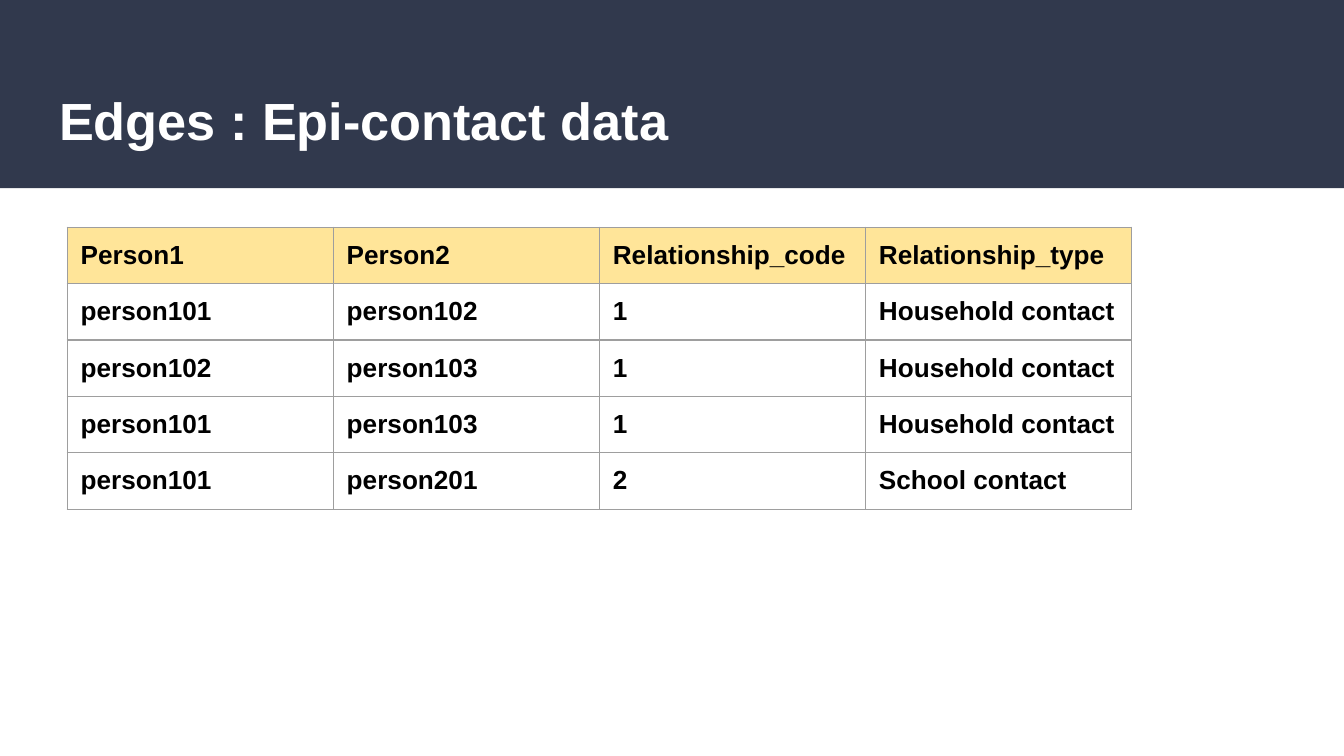
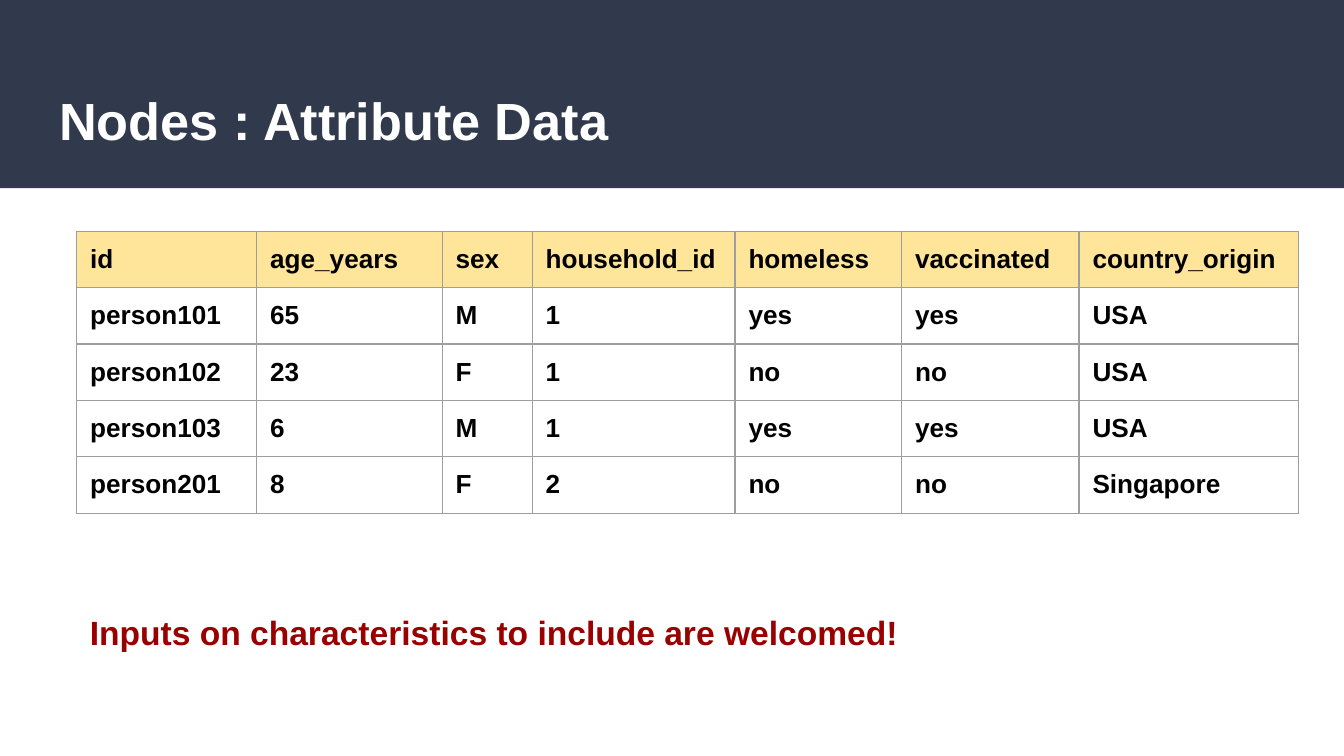
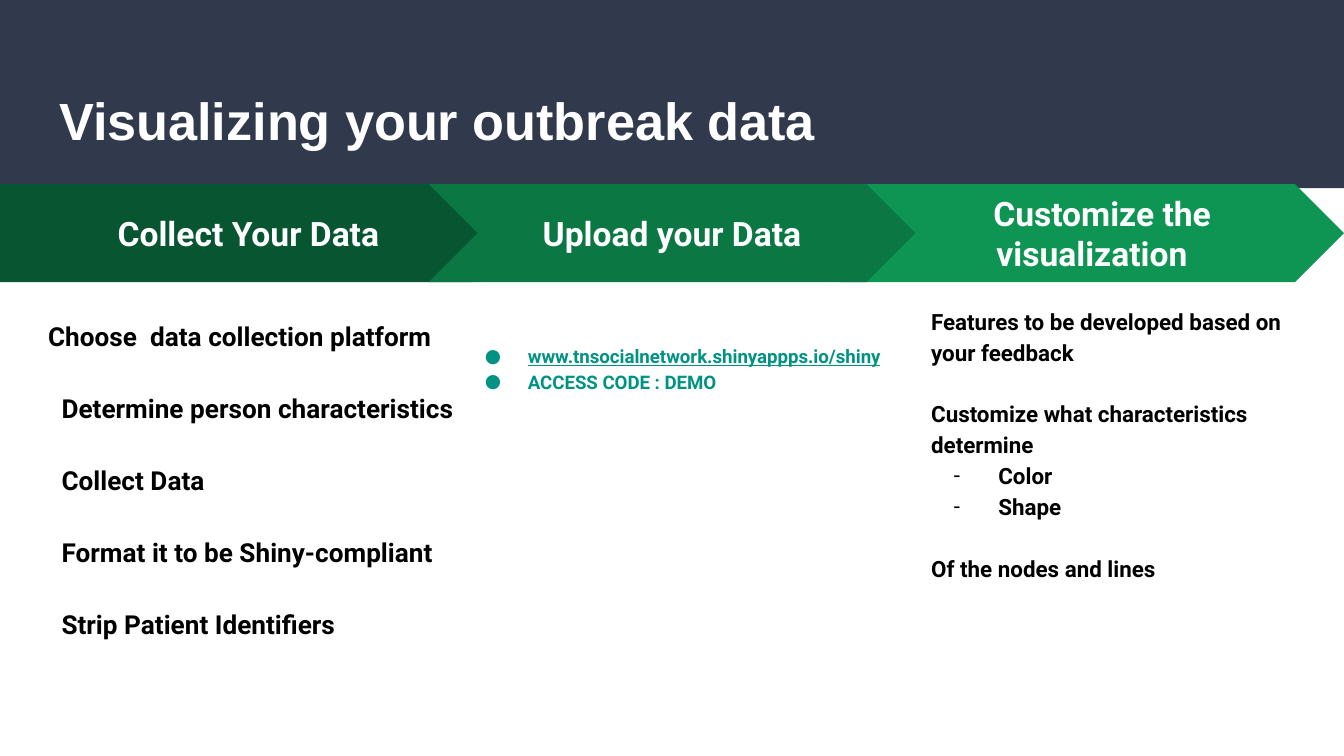
from dataclasses import dataclass

from lxml import etree
from pptx import Presentation
from pptx import util as u
from pptx.dml import color
from pptx.enum import shapes, text
from pptx.oxml import ns

# Shared look
NAVY = color.RGBColor(0x31, 0x39, 0x4D)
WHITE = color.RGBColor(0xFF, 0xFF, 0xFF)
BLACK = color.RGBColor(0x00, 0x00, 0x00)
HEADER_YELLOW = color.RGBColor(0xFF, 0xE5, 0x99)
BORDER_GREY = color.RGBColor(0x9E, 0x9E, 0x9E)
DARK_RED = color.RGBColor(0x99, 0x00, 0x00)
TEAL = color.RGBColor(0x00, 0x93, 0x84)
DEEP_GREEN = color.RGBColor(0x08, 0x56, 0x31)
MID_GREEN = color.RGBColor(0x0B, 0x77, 0x43)
LIGHT_GREEN = color.RGBColor(0x0E, 0x94, 0x53)

SLIDE_WIDTH = u.Inches(10)
SLIDE_HEIGHT = SLIDE_WIDTH * 9 // 16
INSET = 0.1
ROW_HEIGHT = 0.42
STEP_TOP, STEP_HEIGHT = 1.37, 0.73


@dataclass
class Style:
    size: float
    ink: color.RGBColor = BLACK
    font: str = "Roboto"


@dataclass
class Line:
    words: str
    left: float = 0
    hanging: float = 0
    bullet: str = ""
    before: float = 0
    underline: bool = False


@dataclass
class Box:
    left: float
    top: float
    width: float
    height: float

    def lengths(self) -> list:
        return [u.Inches(n) for n in (self.left, self.top, self.width, self.height)]


@dataclass
class Step:
    label: Line
    left: float
    width: float
    outline: shapes.MSO_SHAPE
    fill: color.RGBColor


TITLE = Style(28, WHITE, "Arial")
CELL = Style(14, BLACK, "Arial")
NOTE = Style(18, DARK_RED, "Arial")
STEP = Style(18, WHITE)
TITLE_BOX = Box(0.34, 0.55, 9.32, 0.68)


def write(frame, lines: list[Line], style: Style, spacing: float = 1.0,
          align=text.PP_ALIGN.LEFT) -> None:
    """Fill a text frame or cell with one paragraph per line."""
    for number, line in enumerate(lines):
        paragraph = frame.paragraphs[0] if number == 0 else frame.add_paragraph()
        properties = paragraph._p.get_or_add_pPr()
        properties.set("marL", str(u.Inches(line.left)))
        properties.set("indent", str(u.Inches(line.hanging)))
        if line.bullet:
            etree.SubElement(properties, ns.qn("a:buFont"), typeface=style.font)
            etree.SubElement(properties, ns.qn("a:buChar"), char=line.bullet)
        paragraph.alignment = align
        paragraph.line_spacing = spacing
        if line.before:
            paragraph.space_before = u.Pt(line.before)
        run = paragraph.add_run()
        run.text = line.words
        run.font.name, run.font.size = style.font, u.Pt(style.size)
        run.font.bold = True
        run.font.underline = line.underline
        run.font.color.rgb = style.ink


def set_frame(frame, anchor=text.MSO_ANCHOR.TOP, top: float = INSET) -> None:
    frame.word_wrap = True
    frame.auto_size = text.MSO_AUTO_SIZE.NONE
    frame.vertical_anchor = anchor
    frame.margin_left = frame.margin_right = frame.margin_bottom = u.Inches(INSET)
    frame.margin_top = u.Inches(top)


def add_filled(slide, outline, box: Box, fill: color.RGBColor):
    shape = slide.shapes.add_shape(outline, *box.lengths())
    shape.shadow.inherit = False
    shape.fill.solid()
    shape.fill.fore_color.rgb = fill
    shape.line.fill.background()
    return shape


def add_text(slide, box: Box, lines: list[Line], style: Style,
             spacing: float = 1.0, top: float = INSET) -> None:
    frame = slide.shapes.add_textbox(*box.lengths()).text_frame
    set_frame(frame, top=top)
    write(frame, lines, style, spacing)


def add_titled_slide(deck, title: str):
    slide = deck.slides.add_slide(deck.slide_layouts[5])
    heading = slide.shapes.title
    heading.left, heading.top, heading.width, heading.height = TITLE_BOX.lengths()
    set_frame(heading.text_frame, text.MSO_ANCHOR.MIDDLE)
    write(heading.text_frame, [Line(title)], TITLE)
    return slide


def add_layout_band(slide) -> None:
    """Place the title band behind everything in the slide's layout."""
    band = add_filled(slide, shapes.MSO_SHAPE.RECTANGLE, Box(0, 0, 10, 1.4), NAVY)
    slide.slide_layout.shapes.element.insert(2, band.element)


def add_borders(cell) -> None:
    properties = cell._tc.get_or_add_tcPr()
    for side in ("lnL", "lnR", "lnT", "lnB"):
        border = etree.SubElement(properties, ns.qn(f"a:{side}"), w=str(u.Pt(0.75)))
        fill = etree.SubElement(border, ns.qn("a:solidFill"))
        etree.SubElement(fill, ns.qn("a:srgbClr"), val=str(BORDER_GREY))


def add_data_table(slide, left: float, top: float, widths: list[float],
                   rows: list[str]) -> None:
    """Draw a bordered table; each row is a string with | between cells."""
    box = Box(left, top, sum(widths), ROW_HEIGHT * len(rows))
    table = slide.shapes.add_table(len(rows), len(widths), *box.lengths()).table
    table.first_row = table.horz_banding = False
    for column, width in zip(table.columns, widths):
        column.width = u.Inches(width)
    for number, (row, values) in enumerate(zip(table.rows, rows)):
        row.height = u.Inches(ROW_HEIGHT)
        for cell, value in zip(row.cells, values.split("|")):
            cell.margin_left = cell.margin_right = u.Inches(INSET)
            cell.margin_top = cell.margin_bottom = u.Inches(INSET)
            add_borders(cell)
            if number == 0:
                cell.fill.solid()
                cell.fill.fore_color.rgb = HEADER_YELLOW
            else:
                cell.fill.background()
            write(cell.text_frame, [Line(value)], CELL)


def add_step(slide, step: Step) -> None:
    box = Box(step.left, STEP_TOP, step.width, STEP_HEIGHT)
    arrow = add_filled(slide, step.outline, box, step.fill)
    set_frame(arrow.text_frame, text.MSO_ANCHOR.MIDDLE)
    write(arrow.text_frame, [step.label], STEP, align=text.PP_ALIGN.CENTER)


def build_edges(deck) -> None:
    slide = add_titled_slide(deck, "Edges : Epi-contact data")
    add_layout_band(slide)
    add_data_table(slide, 0.5, 1.69, [1.98] * 4, [
        "Person1|Person2|Relationship_code|Relationship_type",
        "person101|person102|1|Household contact",
        "person102|person103|1|Household contact",
        "person101|person103|1|Household contact",
        "person101|person201|2|School contact",
    ])


def build_nodes(deck) -> None:
    slide = add_titled_slide(deck, "Nodes : Attribute Data")
    add_data_table(slide, 0.57, 1.72, [1.34, 1.38, 0.67, 1.51, 1.24, 1.32, 1.63], [
        "id|age_years|sex|household_id|homeless|vaccinated|country_origin",
        "person101|65|M|1|yes|yes|USA",
        "person102|23|F|1|no|no|USA",
        "person103|6|M|1|yes|yes|USA",
        "person201|8|F|2|no|no|Singapore",
    ])
    add_text(slide, Box(0.57, 4.45, 6.59, 0.35),
             [Line("Inputs on characteristics to include are welcomed!")], NOTE)


def build_workflow(deck) -> None:
    slide = add_titled_slide(deck, "Visualizing your outbreak data")

    # Customizing notes
    add_text(slide, Box(6.83, 2.16, 2.86, 2.95), [
        Line("Features to be developed based on your feedback"),
        Line("Customize what characteristics determine", before=16.6),
        Line("Color", 0.5, -0.33, "-"),
        Line("Shape", 0.5, -0.33, "-"),
        Line("Of the nodes and lines", before=16.6),
    ], Style(12), 1.15)

    # Collecting tasks
    later_tasks = ["Determine person characteristics", "Collect Data",
                   "Format it to be Shiny-compliant", "Strip Patient Identifiers"]
    add_text(slide, Box(0.26, 2.25, 3.27, 2.86),
             [Line("Choose  data collection platform")]
             + [Line(task, left=0.1, before=19.3) for task in later_tasks],
             Style(14), 1.15)

    # Upload address
    add_text(slide, Box(3.33, 2.23, 3.43, 2.86), [
        Line("www.tnsocialnetwork.shinyappps.io/shiny", 0.5, -0.32, "●", underline=True),
        Line("ACCESS CODE : DEMO", 0.5, -0.32, "●"),
    ], Style(10, TEAL), 1.15, top=0.31)

    # Step arrows, from back to front
    chevron, pentagon = shapes.MSO_SHAPE.CHEVRON, shapes.MSO_SHAPE.PENTAGON
    for step in (
        Step(Line("Customize the visualization", hanging=0.15), 6.25, 3.75, chevron, LIGHT_GREEN),
        Step(Line("Collect Your Data"), 0, 3.88, pentagon, DEEP_GREEN),
        Step(Line("Upload your Data"), 3.19, 3.62, chevron, MID_GREEN),
    ):
        add_step(slide, step)


def main() -> None:
    deck = Presentation()
    deck.slide_width, deck.slide_height = SLIDE_WIDTH, SLIDE_HEIGHT
    build_edges(deck)
    build_nodes(deck)
    build_workflow(deck)
    deck.save("out.pptx")


if __name__ == "__main__":
    main()
